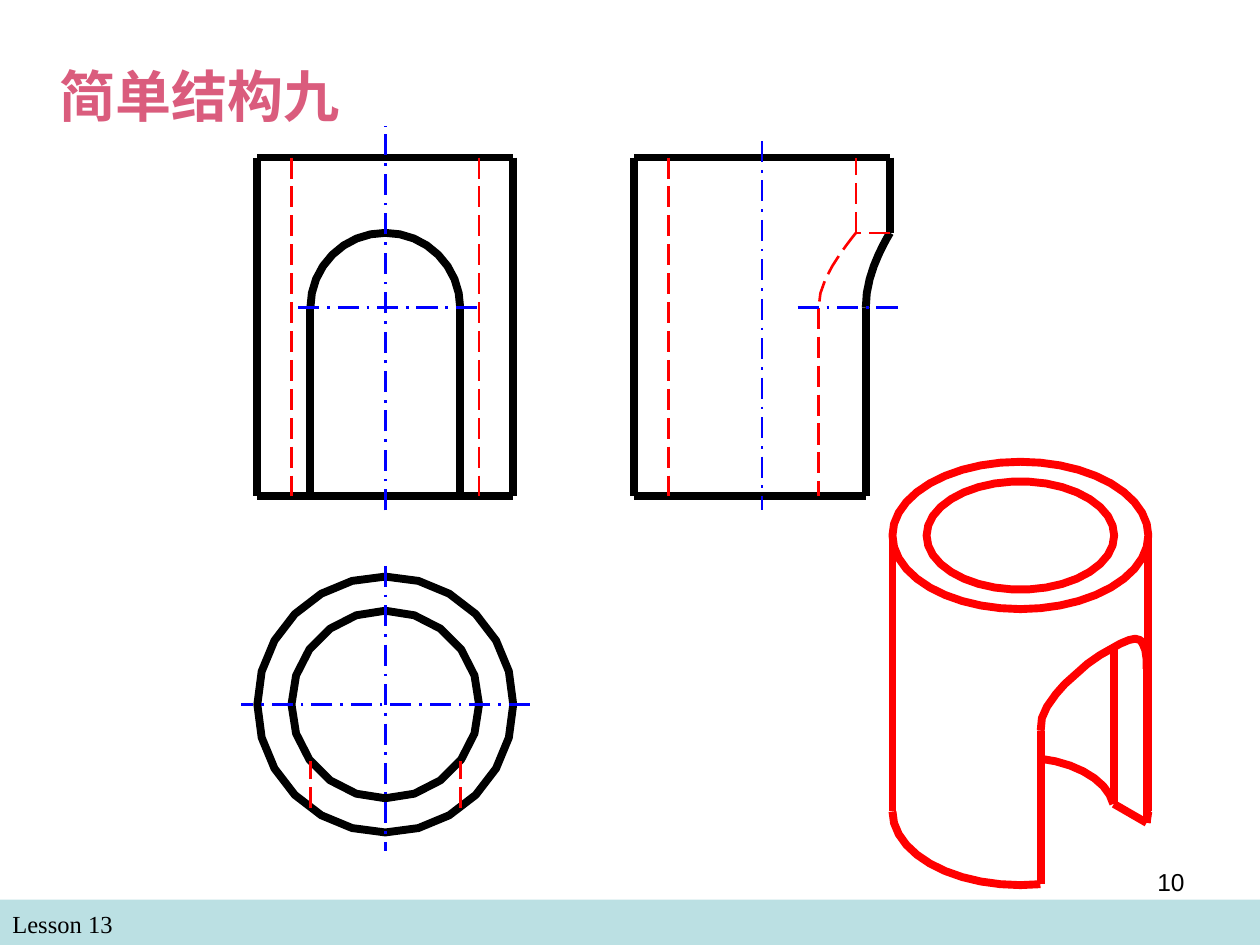
from dataclasses import dataclass
from math import cos, radians, sin, sqrt

from lxml.etree import SubElement
from pptx import Presentation
from pptx.dml.color import RGBColor
from pptx.enum.dml import MSO_LINE
from pptx.enum.shapes import MSO_CONNECTOR, MSO_SHAPE
from pptx.enum.text import PP_ALIGN
from pptx.oxml.ns import qn
from pptx.util import Pt


@dataclass(frozen=True)
class Pen:
    color: str
    width: float
    dash: object = None


class Theme:
    title, text, band = "DA5C7D", "000000", "BBE0E3"
    title_size, small_size = 32, 14
    serif, sans = "Times New Roman", "Arial"
    outline = Pen("000000", 4.5)
    hidden = Pen("FF0000", 1.5, MSO_LINE.LONG_DASH)
    center = Pen("0000FF", 1.5, MSO_LINE.LONG_DASH_DOT)
    solid = Pen("FF0000", 4.5)


TITLE, FOOTER, NUMBER = "简单结构九", "Lesson 13", "10"

# Part: a tube with an arched slot cut through its front wall
OUTER, INNER, ARCH = 73.1, 53.6, 42.8
TOP, SPRING, BOTTOM = 90, 175.9, 283.2
CROWN = SPRING - ARCH
FRONT_X, SIDE_X, PLAN_Y = 220.2, 435.5, 402.6

# Pictorial view
SOLID_X, SOLID_TOP, SOLID_BOTTOM = 583.1, 306, 463.7
OUTER_RISE, INNER_RISE = 42.1, 30.9
SLOT_LEFT, SLOT_MIDDLE, SLOT_RIGHT = 594.7, 636.5, 655.2
SLOT_CURVE = [
    (SLOT_LEFT, 417.6), (595.4, 410.4), (598.3, 403.9), (603.4, 396.7), (608.4, 391),
    (614.9, 385.2), (621.4, 379.4), (628.6, 374.4), (635, 370.8), (640.1, 367.9),
    (645.1, 365.8), (648.7, 365), (651.6, 365.8), (653, 367.9), (654.5, 371.5),
    (655.2, 376.6), (SLOT_RIGHT, 382.3),
]


def arc(x, y, radius_x, radius_y, start, end, steps):
    """Points on an ellipse; angles in degrees, clockwise from the right."""
    angles = [radians(start + (end - start) * i / steps) for i in range(steps + 1)]
    return [(x + radius_x * cos(a), y + radius_y * sin(a)) for a in angles]


def ellipse(x, y, radius_x, radius_y, steps):
    return arc(x, y, radius_x, radius_y, 0, 360, steps)[:-1]


def depth(radius, half_width):
    """Distance from the axis to the wall where a cut of this half width meets it."""
    return sqrt(radius ** 2 - half_width ** 2)


def slot_profile(radius, steps=8):
    """Side view of the arch where it meets a wall of the given radius."""
    angles = [radians(90 * i / steps) for i in range(steps + 1)]
    return [(SIDE_X + depth(radius, ARCH * cos(a)), SPRING - ARCH * sin(a)) for a in angles]


def style(line, pen):
    line.color.rgb = RGBColor.from_string(pen.color)
    line.width = Pt(pen.width)
    if pen.dash:
        line.dash_style = pen.dash


def add_lines(group, pen, segments):
    for segment in segments:
        connector = group.shapes.add_connector(MSO_CONNECTOR.STRAIGHT, *map(Pt, segment))
        style(connector.line, pen)
        SubElement(connector._element.spPr, qn("a:effectLst"))


def add_curve(group, pen, points, close=False):
    start, *rest = [(Pt(x), Pt(y)) for x, y in points]
    builder = group.shapes.build_freeform(*start)
    builder.add_line_segments(rest, close=close)
    curve = builder.convert_to_shape()
    curve.fill.background()
    curve.shadow.inherit = False
    style(curve.line, pen)


def add_text(page, text, bounds, *, font, size, color=Theme.text, bold=False,
             align=PP_ALIGN.LEFT):
    box = page.shapes.add_textbox(*map(Pt, bounds))
    box.text_frame.word_wrap = True
    para = box.text_frame.paragraphs[0]
    para.alignment = align
    span = para.add_run()
    span.text = text
    span.font.name, span.font.size, span.font.bold = font, Pt(size), bold
    span.font.color.rgb = RGBColor.from_string(color)


def draw_solid(page):
    group, pen = page.shapes.add_group_shape(), Theme.solid
    left, right = SOLID_X - OUTER, SOLID_X + OUTER
    add_curve(group, pen, ellipse(SOLID_X, SOLID_TOP, OUTER, OUTER_RISE, 40), close=True)
    add_curve(group, pen, ellipse(SOLID_X, SOLID_TOP, INNER, INNER_RISE, 34), close=True)
    base = arc(SOLID_X, SOLID_BOTTOM, OUTER, OUTER_RISE, 180, 81, 11)
    floor = arc(SOLID_X, SOLID_BOTTOM, INNER, INNER_RISE, -78, -8, 7)
    for points in (base, floor, SLOT_CURVE):
        add_curve(group, pen, points)
    add_lines(group, pen, [
        (left, SOLID_TOP, left, SOLID_BOTTOM),
        (right, SOLID_TOP, right, SOLID_BOTTOM),
        (SLOT_LEFT, 505.4, *SLOT_CURVE[0]),
        (SLOT_MIDDLE, 459.4, SLOT_MIDDLE, 370),
        (*SLOT_CURVE[-1], SLOT_RIGHT, 470.2),
        (SLOT_RIGHT, 470.2, SLOT_MIDDLE, 459.4),
        (SLOT_RIGHT, 470.2, right, SOLID_BOTTOM),
    ])


def draw_views(page):
    group = page.shapes.add_group_shape()
    left, right = FRONT_X - OUTER, FRONT_X + OUTER
    side_left, side_right = SIDE_X - OUTER, SIDE_X + OUTER
    outer_cut, inner_cut = depth(OUTER, ARCH), depth(INNER, ARCH)
    slot_sides = (FRONT_X - ARCH, FRONT_X + ARCH)

    add_lines(group, Theme.outline, [
        *[(left, y, right, y) for y in (TOP, BOTTOM)],
        *[(x, TOP, x, BOTTOM) for x in (left, right, side_left)],
        *[(x, SPRING, x, BOTTOM) for x in slot_sides],
        (side_left, TOP, side_right, TOP),
        (side_left, BOTTOM, SIDE_X + outer_cut, BOTTOM),
        (SIDE_X + outer_cut, SPRING, SIDE_X + outer_cut, BOTTOM),
        (side_right, TOP, side_right, CROWN),
    ])
    add_curve(group, Theme.outline, arc(FRONT_X, SPRING, ARCH, ARCH, 180, 360, 16))
    add_curve(group, Theme.outline, slot_profile(OUTER))
    for radius, steps in ((OUTER, 24), (INNER, 20)):
        add_curve(group, Theme.outline, ellipse(FRONT_X, PLAN_Y, radius, radius, steps), close=True)

    add_lines(group, Theme.hidden, [
        *[(x, TOP, x, BOTTOM) for x in (FRONT_X - INNER, FRONT_X + INNER, SIDE_X - INNER)],
        *[(x, PLAN_Y + outer_cut, x, PLAN_Y + inner_cut) for x in slot_sides],
        (SIDE_X + inner_cut, SPRING, SIDE_X + inner_cut, BOTTOM),
        (side_right, CROWN, SIDE_X + INNER, CROWN),
        (SIDE_X + INNER, CROWN, SIDE_X + INNER, TOP),
    ])
    add_curve(group, Theme.hidden, slot_profile(INNER)[::-1])

    add_lines(group, Theme.center, [
        (FRONT_X, 291.6, FRONT_X, 72),
        (FRONT_X, 323.3, FRONT_X, 486),
        (SIDE_X, 80.6, SIDE_X, 291.6),
        (302.6, PLAN_Y, 138, PLAN_Y),
        (170.4, SPRING, 273.4, SPRING),
        (455.8, SPRING, 513, SPRING),
    ])


def main():
    deck = Presentation()
    deck.slide_width, deck.slide_height = Pt(720), Pt(540)
    page = deck.slides.add_slide(deck.slide_layouts[6])

    band = page.shapes.add_shape(MSO_SHAPE.RECTANGLE, Pt(0), Pt(514), Pt(720), Pt(26))
    band.shadow.inherit = False
    band.fill.solid()
    band.fill.fore_color.rgb = RGBColor.from_string(Theme.band)
    band.line.fill.background()

    add_text(page, FOOTER, (0, 516.2, 348, 24.5), font=Theme.serif, size=Theme.small_size)
    add_text(page, TITLE, (0, 31.7, 228.2, 46), font=Theme.serif, size=Theme.title_size,
             color=Theme.title, bold=True, align=PP_ALIGN.CENTER)
    draw_solid(page)
    draw_views(page)
    add_text(page, NUMBER, (516, 492, 168, 37.5), font=Theme.sans, size=Theme.small_size,
             align=PP_ALIGN.RIGHT)
    deck.save("out.pptx")


if __name__ == "__main__":
    main()
